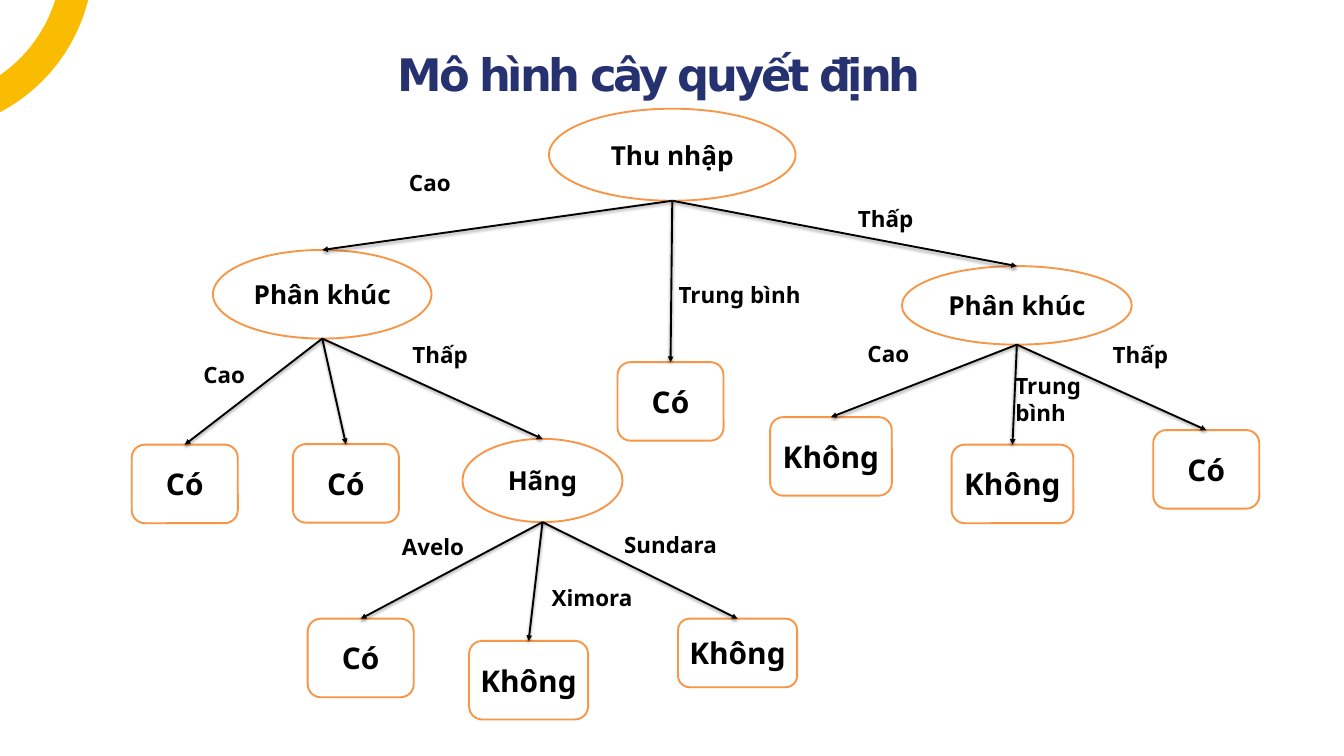
from dataclasses import dataclass
from math import cos, pi, sin

from lxml.etree import SubElement
from pptx import Presentation
from pptx.dml.color import RGBColor
from pptx.enum.shapes import MSO_CONNECTOR, MSO_SHAPE
from pptx.enum.text import MSO_ANCHOR, MSO_AUTO_SIZE, PP_ALIGN
from pptx.oxml.ns import qn
from pptx.util import Cm, Pt


@dataclass(frozen=True)
class Theme:
    ring: str = "FABC00"
    title: str = "26316F"
    edge: str = "F79646"
    paper: str = "FFFFFF"
    ink: str = "000000"
    head: str = "DejaVu Sans"
    body: str = "Noto Sans"
    title_pt: int = 48
    test_pt: int = 28
    leaf_pt: int = 32
    label_pt: int = 24
    line_pt: int = 2


THEME = Theme()

TESTS = {
    "income": ("Thu nhập", 20.75, 4.11, 9.32, 3.48),
    "left": ("Phân khúc", 8.05, 9.45, 8.26, 3.35),
    "brand": ("Hãng", 17.48, 16.59, 6.05, 3.15),
    "right": ("Phân khúc", 34.09, 10.06, 8.69, 2.97),
}

LEAVES = [
    ("income", "Có", 23.34, 13.69, 4.01, 2.97),
    ("left", "Có", 4.98, 16.81, 4.01, 2.97),
    ("left", "Có", 11.07, 16.79, 4.01, 2.97),
    ("right", "Không", 29.11, 15.77, 4.6, 2.97),
    ("right", "Không", 35.97, 16.81, 4.6, 2.97),
    ("right", "Có", 43.59, 16.26, 4.01, 2.97),
    ("brand", "Có", 11.63, 23.39, 4.01, 2.97),
    ("brand", "Không", 17.73, 24.23, 4.5, 2.97),
    ("brand", "Không", 25.63, 23.39, 4.5, 2.59),
]

LINKS = [("income", "left"), ("income", "right"), ("left", "brand")]

LABELS = [
    ("Cao", 15.21, 6.25, 2.13, False),
    ("Trung bình", 25.4, 10.52, 5.18, False),
    ("Thấp", 32.18, 7.62, 2.64, False),
    ("Cao", 7.44, 13.54, 2.13, False),
    ("Thấp", 15.34, 12.78, 2.64, False),
    ("Cao", 32.54, 12.73, 2.13, False),
    ("Trung bình", 38.13, 13.94, 3.61, True),
    ("Thấp", 41.81, 12.78, 2.64, False),
    ("Avelo", 14.94, 20.02, 3.61, True),
    ("Ximora", 20.6, 21.97, 3.61, True),
    ("Sundara", 23.34, 19.96, 4.55, True),
]


def paint(fill, tone):
    fill.solid()
    fill.fore_color.rgb = RGBColor.from_string(tone)


def write(frame, text, size, face=THEME.body, tone=THEME.ink):
    frame.text = text
    run = frame.paragraphs[0].runs[0]
    run.font.size = Pt(size)
    run.font.name = face
    run.font.bold = True
    run.font.color.rgb = RGBColor.from_string(tone)
    return run


def add_ring(slide, x, y, outer, inner, steps=48):
    turns = [pi / 2 * i / steps for i in range(steps + 1)]
    rim = [(outer, t) for t in turns] + [(inner, t) for t in reversed(turns)]
    dots = [(Cm(x + r * cos(t)), Cm(y + r * sin(t))) for r, t in rim]
    pen = slide.shapes.build_freeform(*dots[0], scale=1.0)
    pen.add_line_segments(dots[1:], close=True)
    ring = pen.convert_to_shape()
    ring.shadow.inherit = False
    paint(ring.fill, THEME.ring)
    ring.line.fill.background()


def add_title(slide, text):
    box = slide.shapes.add_textbox(Cm(15.04), Cm(1.73), Cm(28.37), Cm(2.08))
    frame = box.text_frame
    frame.word_wrap = True
    frame.margin_left = frame.margin_right = frame.margin_bottom = 0
    frame.margin_top = Cm(0.05)
    run = write(frame, text, THEME.title_pt, THEME.head, THEME.title)
    run.font.element.set("spc", "-340") if hasattr(run.font, "element") else run._r.get_or_add_rPr().set("spc", "-340")
    frame.paragraphs[0].space_before = Pt(1.1)


def add_node(slide, kind, size, text, *place):
    node = slide.shapes.add_shape(kind, *map(Cm, place))
    node.shadow.inherit = False
    paint(node.fill, THEME.paper)
    paint(node.line.fill, THEME.edge)
    node.line.width = Pt(THEME.line_pt)
    frame = node.text_frame
    frame.word_wrap = True
    frame.vertical_anchor = MSO_ANCHOR.MIDDLE
    write(frame, text, size)
    frame.paragraphs[0].alignment = PP_ALIGN.CENTER
    return node


def add_arrow(slide, start, end):
    x = start.left + start.width // 2
    y = start.top + start.height
    arrow = slide.shapes.add_connector(MSO_CONNECTOR.STRAIGHT, x, y, x, y)
    arrow.end_connect(end, 0)
    paint(arrow.line.fill, THEME.ink)
    arrow.line.width = Pt(THEME.line_pt)
    props = arrow.element.find(qn("p:spPr"))
    SubElement(props.find(qn("a:ln")), qn("a:tailEnd"), type="triangle")
    glow = SubElement(SubElement(props, qn("a:effectLst")), qn("a:outerShdw"),
                      blurRad="40000", dist="20000", dir="5400000", rotWithShape="0")
    tone = SubElement(glow, qn("a:srgbClr"), val=THEME.ink)
    SubElement(tone, qn("a:alpha"), val="38000")


def add_label(slide, text, x, y, width, wrap):
    box = slide.shapes.add_textbox(Cm(x), Cm(y), Cm(width), Cm(1.27))
    frame = box.text_frame
    frame.word_wrap = wrap
    frame.auto_size = MSO_AUTO_SIZE.SHAPE_TO_FIT_TEXT
    write(frame, text, THEME.label_pt)


def main():
    deck = Presentation()
    deck.slide_width, deck.slide_height = Cm(50.8), Cm(28.58)
    slide = deck.slides.add_slide(deck.slide_layouts[6])
    add_ring(slide, -3.07, -1.6, 6.6, 5.4)
    add_title(slide, "Mô hình cây quyết định")
    tests = {key: add_node(slide, MSO_SHAPE.OVAL, THEME.test_pt, *spec_row)
             for key, spec_row in TESTS.items()}
    pairs = [(tests[a], tests[b]) for a, b in LINKS]
    for key, *row in LEAVES:
        leaf = add_node(slide, MSO_SHAPE.ROUNDED_RECTANGLE, THEME.leaf_pt, *row)
        pairs.append((tests[key], leaf))
    for start, end in pairs:
        add_arrow(slide, start, end)
    for row in LABELS:
        add_label(slide, *row)
    deck.save("out.pptx")


main()
